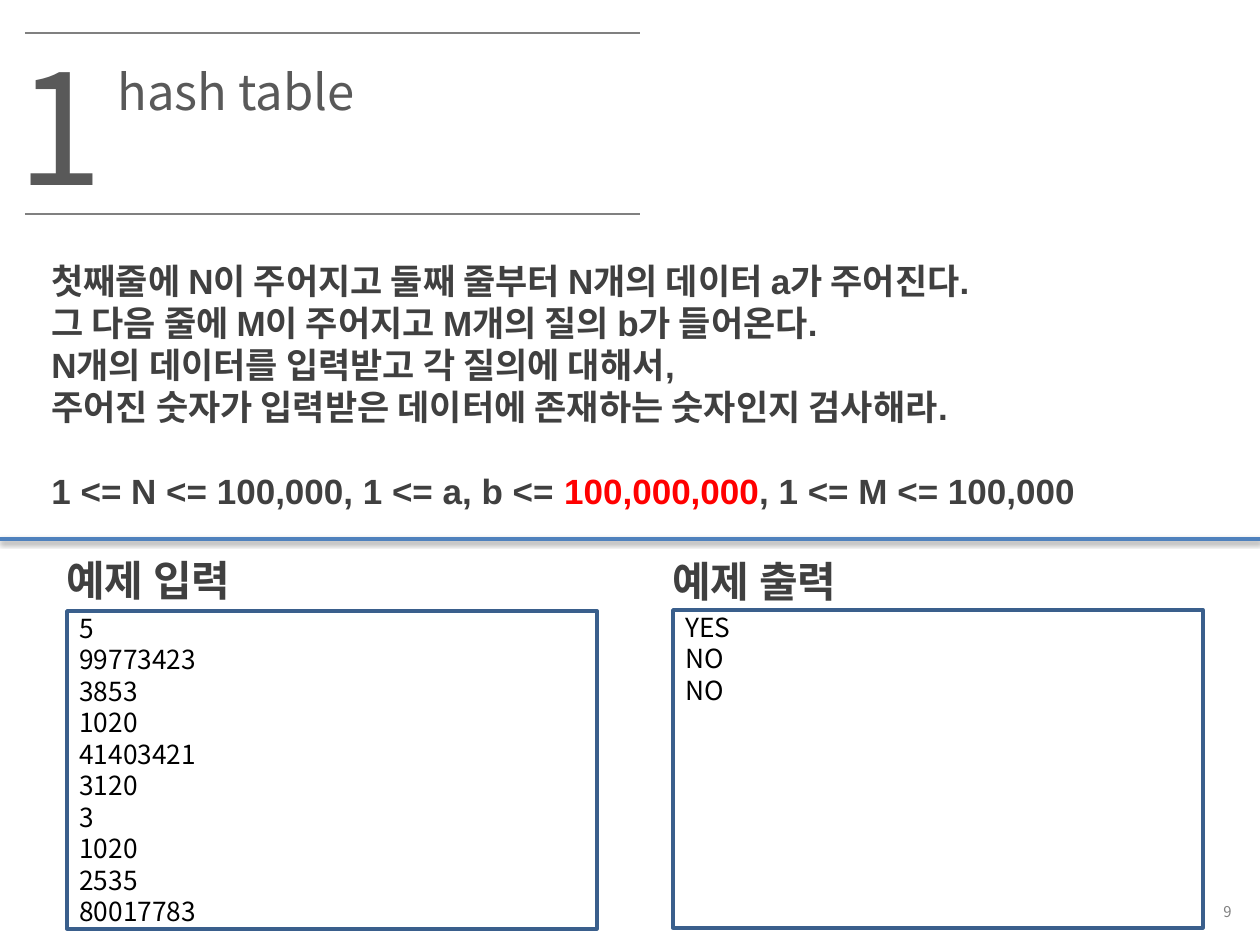
from lxml import etree
from pptx import Presentation
from pptx.dml.color import RGBColor
from pptx.enum.shapes import MSO_CONNECTOR, MSO_SHAPE
from pptx.enum.text import MSO_ANCHOR, PP_ALIGN
from pptx.oxml.ns import qn
from pptx.util import Pt

PX = 914400 / 126
STRAIGHT, RECTANGLE = MSO_CONNECTOR.STRAIGHT, MSO_SHAPE.RECTANGLE
TOP, MIDDLE = MSO_ANCHOR.TOP, MSO_ANCHOR.MIDDLE
LEFT, RIGHT = PP_ALIGN.LEFT, PP_ALIGN.RIGHT
LATIN, KOREAN = "Arial", "Noto Sans CJK KR"
COLORS = {
    "rule": "808080", "title": "595959", "body": "404040", "limit": "FF0000",
    "divider": "4F81BD", "frame": "3A5F8C", "sample": "000000", "shadow": "000000",
}

STATEMENT = [
    "첫째줄에 N이 주어지고 둘째 줄부터 N개의 데이터 a가 주어진다.",
    "그 다음 줄에 M이 주어지고 M개의 질의 b가 들어온다.",
    "N개의 데이터를 입력받고 각 질의에 대해서,",
    "주어진 숫자가 입력받은 데이터에 존재하는 숫자인지 검사해라.",
]
LIMITS = [
    ("1 <= N <= 100,000, 1 <= a, b <= ", "body"),
    ("100,000,000", "limit"),
    (", 1 <= M <= 100,000", "body"),
]
SAMPLE_INPUT = ["5", "99773423", "3853", "1020", "41403421",
                "3120", "3", "1020", "2535", "80017783"]
SAMPLE_OUTPUT = ["YES", "NO", "NO"]


def px(value):
    return round(value * PX)


def rgb(name):
    return RGBColor.from_string(COLORS[name])


def write(paragraph, text, size, color, font=KOREAN, bold=False, align=LEFT):
    """Add one formatted run to a paragraph."""
    paragraph.alignment = align
    run = paragraph.add_run()
    run.text = text
    run.font.size, run.font.bold, run.font.name = Pt(size), bold, font
    run.font.color.rgb = rgb(color)
    east_asian = etree.Element(qn("a:ea"), typeface=KOREAN)
    run.font._element.find(qn("a:latin")).addnext(east_asian)


def write_lines(frame, lines, **style):
    for index, line in enumerate(lines):
        paragraph = frame.add_paragraph() if index else frame.paragraphs[0]
        write(paragraph, line, **style)


def add_text(slide, box, lines, anchor=TOP, **style):
    frame = slide.shapes.add_textbox(*map(px, box)).text_frame
    frame.word_wrap = True
    frame.vertical_anchor = anchor
    write_lines(frame, lines, **style)
    return frame


def add_rule(slide, left, top, width, color, weight, shadow=False):
    line = slide.shapes.add_connector(
        STRAIGHT, px(left), px(top), px(left + width), px(top))
    line.line.color.rgb = rgb(color)
    line.line.width = Pt(weight)
    effects = etree.SubElement(line._element.spPr, qn("a:effectLst"))
    if shadow:
        outer = etree.SubElement(
            effects, qn("a:outerShdw"), blurRad=str(Pt(3.1)), dist=str(Pt(1.6)),
            dir="5400000", rotWithShape="0")
        shade = etree.SubElement(outer, qn("a:srgbClr"), val=COLORS["shadow"])
        etree.SubElement(shade, qn("a:alpha"), val="38000")


def add_header(slide, left, top, width, height):
    for rule_top in (top, top + height):
        add_rule(slide, left, rule_top, width, "rule", 0.75)
    add_text(slide, (left - 20, top - 8, 100, 199), ["1"], size=88, color="title")
    add_text(slide, (left + 80, top + 22, 268, 72), ["hash table"],
             size=28, color="title")


def add_statement(slide, left, top, width, height):
    style = {"size": 20, "font": LATIN, "bold": True}
    frame = add_text(slide, (left, top, width, height), STATEMENT,
                     color="body", **style)
    # Limits stand one line below the statement
    limits = frame.add_paragraph()
    limits.space_before = Pt(24)
    for text, color in LIMITS:
        write(limits, text, color=color, **style)


def add_sample(slide, left, top, width, height, heading, heading_top, lines):
    add_text(slide, (left - 13, heading_top, 238, 63), [heading],
             size=24, color="body", font=LATIN, bold=True)
    frame_box = slide.shapes.add_shape(
        RECTANGLE, px(left), px(top), px(width), px(height))
    frame_box.shadow.inherit = False
    frame_box.fill.background()
    frame_box.line.color.rgb = rgb("frame")
    frame_box.line.width = Pt(2)
    frame = frame_box.text_frame
    frame.word_wrap = True
    frame.vertical_anchor = TOP
    frame.margin_top = frame.margin_bottom = px(1)
    write_lines(frame, lines, size=15, color="sample")


def main():
    presentation = Presentation()
    presentation.slide_width, presentation.slide_height = px(1260), px(945)
    slide = presentation.slides.add_slide(presentation.slide_layouts[6])
    for placeholder in list(slide.placeholders):
        placeholder._element.getparent().remove(placeholder._element)

    # Page number
    add_text(slide, (978, 895, 266, 34), ["9"], anchor=MIDDLE,
             size=8.5, color="rule", align=RIGHT)
    # Title and problem
    add_header(slide, 25, 33, 615, 181)
    add_statement(slide, 39, 253, 1206, 267)
    add_rule(slide, 0, 539, 1260, "divider", 2, shadow=True)
    # Sample input and output
    add_sample(slide, 67, 611, 530, 318, "예제 입력", 548, SAMPLE_INPUT)
    add_sample(slide, 673, 610, 530, 318, "예제 출력", 549, SAMPLE_OUTPUT)

    presentation.save("out.pptx")


if __name__ == "__main__":
    main()
